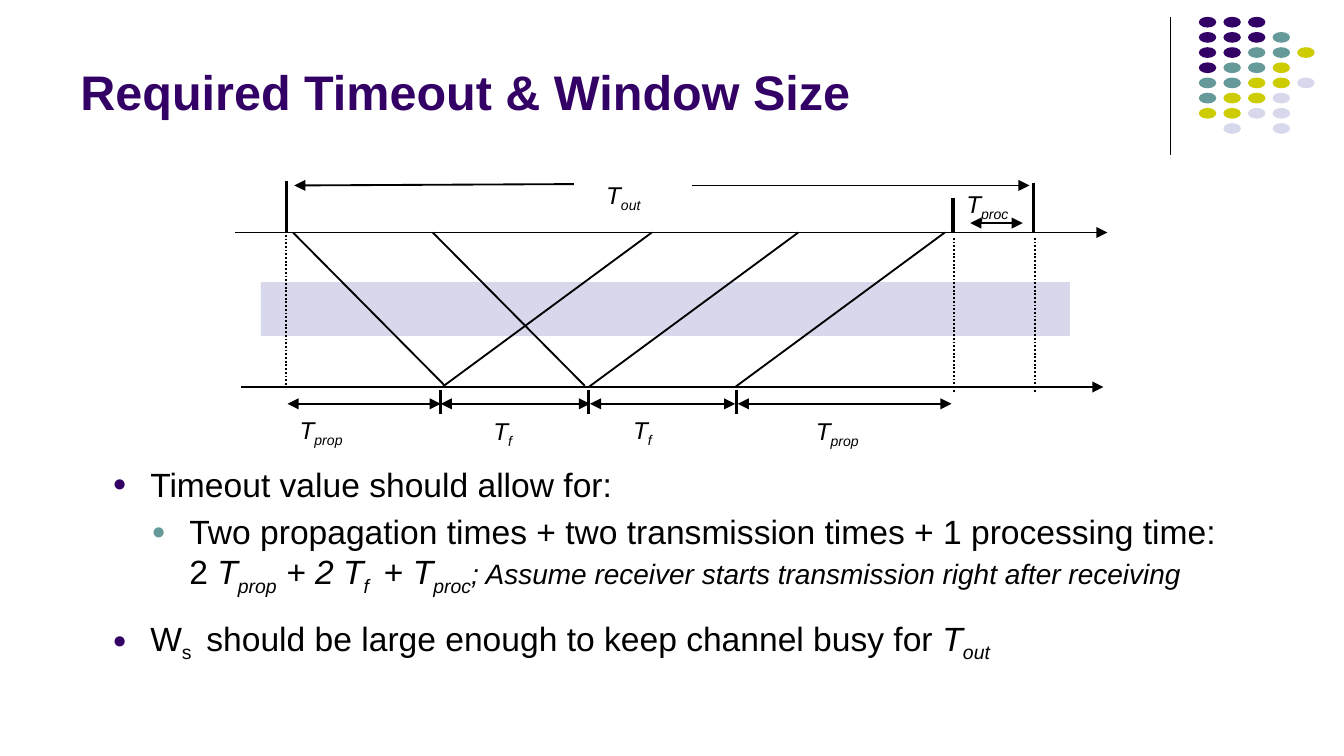
from lxml import etree
from pptx import Presentation
from pptx import util as u
from pptx.dml.color import RGBColor
from pptx.enum import dml, shapes, text
from pptx.oxml.ns import qn

COLUMNS, ROWS = 100, 100 * 9 / 16
PURPLE, TEAL, OLIVE, LILAC, BLACK = "330066", "669999", "CCCC00", "D8D8EC", "000000"


def color(value):
    return RGBColor.from_string(value)


def add_node(parent, tag, **attributes):
    return etree.SubElement(parent, qn(tag), **attributes)


class Sketch:
    font = "Arial"
    thin, thick = 1, 1.75

    def __init__(self, deck):
        self.deck = deck
        self.slide = deck.slides.add_slide(deck.slide_layouts[6])

    def x(self, columns):
        return round(self.deck.slide_width * columns / COLUMNS)

    def y(self, rows):
        return round(self.deck.slide_height * rows / ROWS)

    def area(self, left, top, width, height):
        return self.x(left), self.y(top), self.x(width), self.y(height)

    def shape(self, kind, fill, *area):
        shape = self.slide.shapes.add_shape(kind, *self.area(*area))
        shape.shadow.inherit = False
        shape.fill.solid()
        shape.fill.fore_color.rgb = color(fill)
        shape.line.fill.background()

    def line(self, x1, y1, x2, y2, width=thin, ends=(), dotted=False):
        line = self.slide.shapes.add_connector(
            shapes.MSO_CONNECTOR.STRAIGHT, self.x(x1), self.y(y1), self.x(x2), self.y(y2))
        line.line.width = u.Pt(width)
        line.line.color.rgb = color(BLACK)
        if dotted:
            line.line.dash_style = dml.MSO_LINE.ROUND_DOT
        for end in ends:
            add_node(line.line._get_or_add_ln(), f"a:{end}End", type="triangle")
        add_node(line._element.spPr, "a:effectLst")

    def box(self, *area, wrap=True, inset=(0.1, 0.05), anchor=text.MSO_ANCHOR.TOP):
        frame = self.slide.shapes.add_textbox(*self.area(*area)).text_frame
        frame.word_wrap = wrap
        frame.vertical_anchor = anchor
        frame.margin_left = frame.margin_right = u.Inches(inset[0])
        frame.margin_top = frame.margin_bottom = u.Inches(inset[1])
        return frame

    def spans(self, para, size, pieces, fill=BLACK):
        for words, style in pieces:
            span = para.add_run()
            span.text = words
            font = span.font
            font.name, font.size = self.font, u.Pt(15 if "small" in style else size)
            font.color.rgb = color(fill)
            font.bold, font.italic = "bold" in style, "italic" in style
            if "sub" in style:
                span._r.get_or_add_rPr().set("baseline", "-25000")

    def label(self, left, top, width, name):
        frame = self.box(left, top, width, 3.2, wrap=False, inset=(0.07, 0.04))
        self.spans(frame.paragraphs[0], 13, symbol(name))

    def bullet(self, para, level, before, pieces):
        para.level = level
        para.space_before = u.Pt(before)
        props = para._p.get_or_add_pPr()
        props.set("marL", str(u.Inches((0.28, 0.57)[level])))
        props.set("indent", str(u.Inches(-0.28)))
        add_node(add_node(props, "a:buClr"), "a:srgbClr", val=(PURPLE, TEAL)[level])
        add_node(props, "a:buSzPct", val="70000")
        add_node(props, "a:buFont", typeface=self.font)
        add_node(props, "a:buChar", char="●")
        self.spans(para, 18, pieces)


def symbol(name):
    return [("T", "italic"), (name, "italic sub")]


deck = Presentation()
deck.slide_width = u.Inches(10)
deck.slide_height = deck.slide_width * 9 // 16
sketch = Sketch(deck)

sketch.line(87.1, 1.3, 87.1, 11.5, 0.75)
dot_colors = {"P": PURPLE, "T": TEAL, "O": OLIVE, "L": LILAC}
dot_rows = ["PPP", "PPPT", "PPTTO", "PTTO", "TTOOL", "TOOL", "OOLL", " L L"]
for row, codes in enumerate(dot_rows):
    for column, code in enumerate(codes):
        if code in dot_colors:
            sketch.shape(shapes.MSO_SHAPE.OVAL, dot_colors[code],
                         89.2 + 1.83 * column, 1.25 + 1.13 * row, 1.3, 0.8)

sender, receiver = 17.3, 28.8
both = ("head", "tail")
sketch.shape(shapes.MSO_SHAPE.RECTANGLE, LILAC, 19.4, 21, 60.2, 4)
sketch.line(17.5, sender, 82.4, sender, ends=["tail"])
sketch.line(17.9, receiver, 82.1, receiver, ends=["tail"])
for start in (21.8, 32.2):
    sketch.line(start, sender, start + 11.3, receiver - 0.1)
for start in (32.9, 43.8, 54.7):
    sketch.line(start, receiver, start + 15.6, sender)
for x, top in ((21.3, 17.2), (71, 17.7), (77, 17.7)):
    sketch.line(x, top, x, top + 11.5, dotted=True)

for left, top, width, name in (
        (36, 30.6, 2.9, "f"), (46.4, 30.5, 2.9, "f"), (71.2, 13.7, 4.6, "proc"),
        (60, 30.6, 4.7, "prop"), (21.6, 30.5, 4.7, "prop"), (44.4, 13, 4.1, "out")):
    sketch.label(left, top, width, name)

sketch.line(51.5, 13.8, 76.6, 13.8, ends=["tail"])
sketch.line(21.9, 13.8, 42.7, 13.7, ends=["head"])
sketch.line(72.2, 16.6, 76.1, 16.6, ends=both)
for start, end in ((21.4, 32.8), (32.8, 43.9), (43.9, 54.7), (54.9, 70.8)):
    sketch.line(start, 30.05, end, 30.05, ends=both)
for x in (32.8, 43.8, 54.8):
    sketch.line(x, 29, x, 30.8, sketch.thick)
for x, top in ((21.3, 13.5), (76.9, 13.6), (70.9, 14.7)):
    sketch.line(x, top, x, sender, sketch.thick)

title = sketch.box(5, 1, 82.5, 8.4, anchor=text.MSO_ANCHOR.BOTTOM)
sketch.spans(title.paragraphs[0], 26, [("Required Timeout & Window Size", "bold")], PURPLE)

points = [
    (0, 4.5, [("Timeout value should allow for:", "")]),
    (1, 3.7, [("Two propagation times + two transmission times + 1 processing time: 2 ", ""),
              *symbol("prop"), (" + 2 T", "italic"), ("f ", "italic sub"), (" + ", ""),
              *symbol("proc"),
              ("; Assume receiver starts transmission right after receiving", "italic small")]),
    (0, 11.2, [("W", ""), ("s ", "sub"),
               (" should be large enough to keep channel busy for ", ""), *symbol("out")]),
]
body = sketch.box(7.4, 34, 85.7, 16.5)
for index, point in enumerate(points):
    sketch.bullet(body.add_paragraph() if index else body.paragraphs[0], *point)

deck.save("out.pptx")
